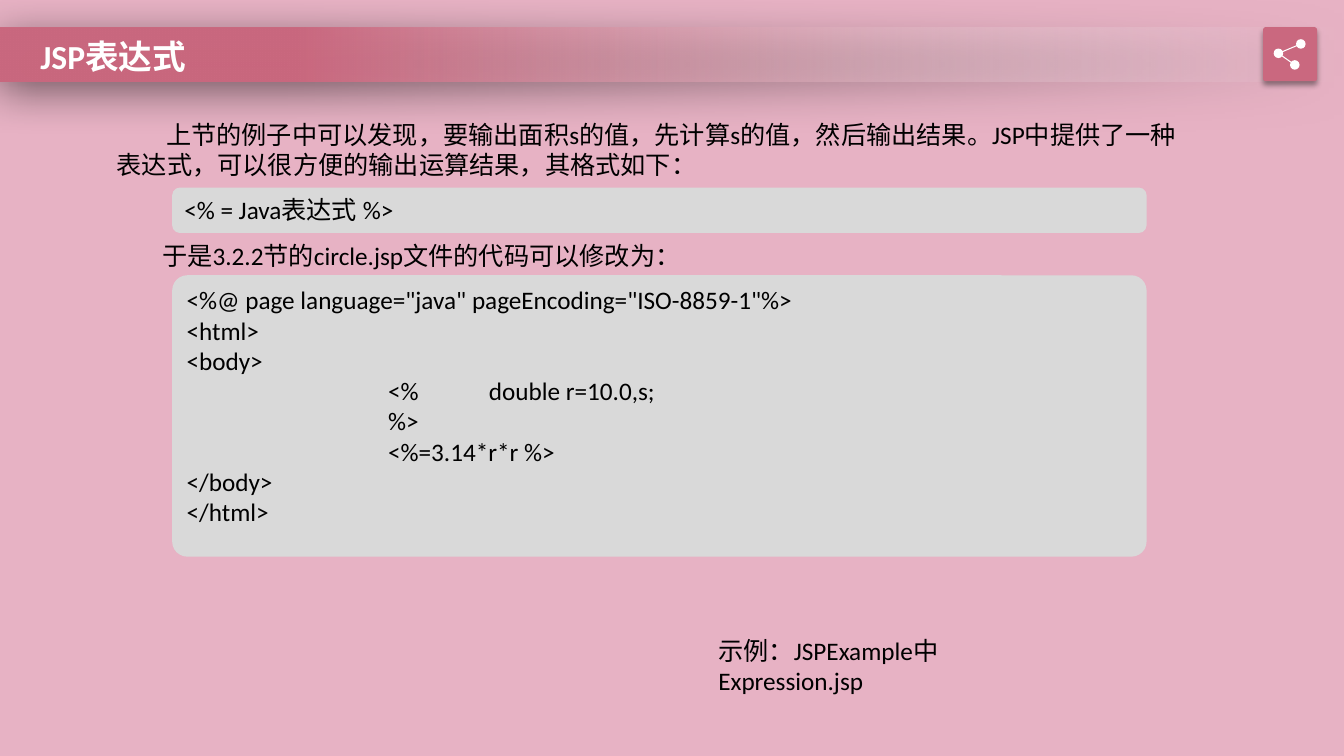
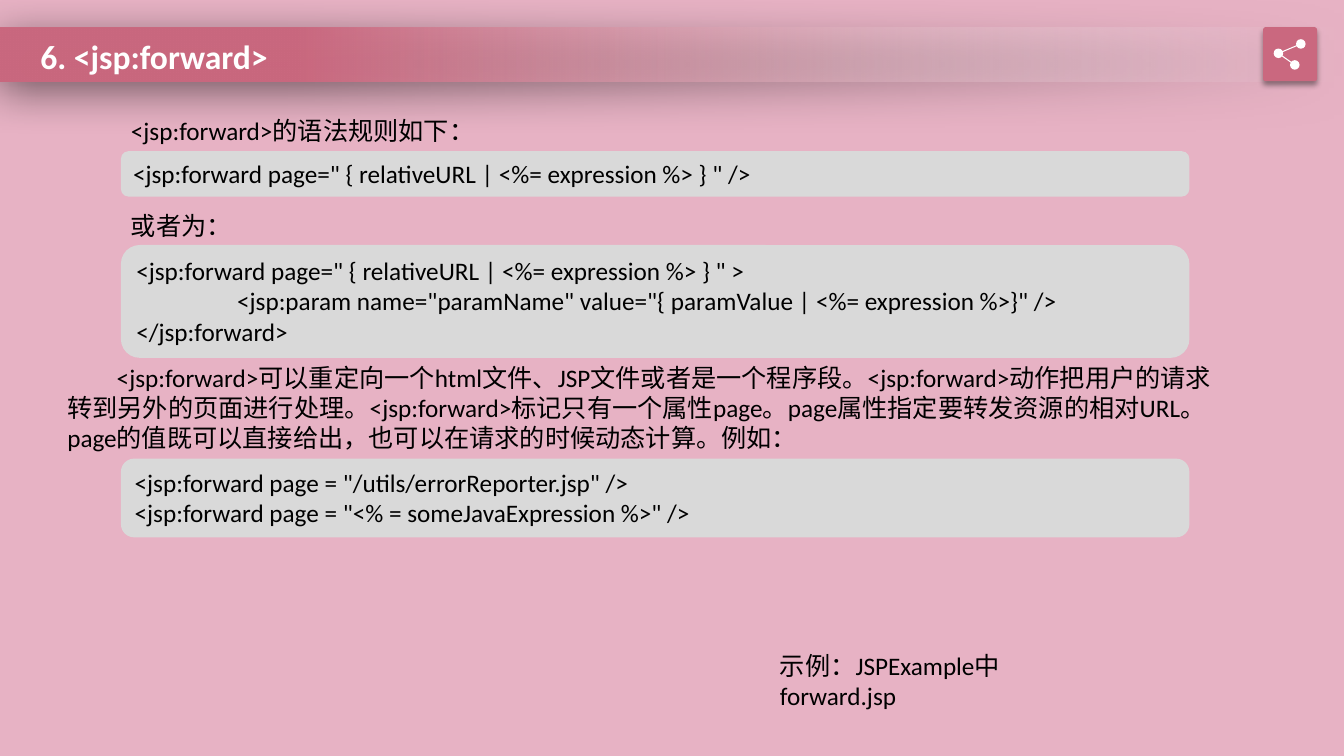
import pptx
import pptx.dml.color
import pptx.enum.shapes
import pptx.enum.text
import pptx.oxml
import pptx.oxml.ns
import pptx.util
from lxml import etree

Pt = pptx.util.Pt
MSO = pptx.enum.shapes.MSO_SHAPE

PINK, ROSE, GREY = "E7B2C4", "CA687F", "D9D9D9"
WHITE, BLACK, PALE = "FFFFFF", "000000", "F7FAFD"
FONT = "Calibri"
SLIDE_W, SLIDE_H = 960, 540
TAB = 72


def rgb(color):
    return pptx.dml.color.RGBColor.from_string(color)


def child(parent, tag, **attrs):
    el = etree.SubElement(parent, pptx.oxml.ns.qn(tag))
    for name, value in attrs.items():
        el.set(name, str(value))
    return el


def add_shape(slide, kind, box, color):
    sp = slide.shapes.add_shape(kind, *map(Pt, box))
    sp.shadow.inherit = False
    sp.line.fill.background()
    sp.fill.solid()
    sp.fill.fore_color.rgb = rgb(color)
    return sp


def add_shadow(sp, alpha, blur, dist, angle):
    effects = sp.element.spPr.find(pptx.oxml.ns.qn("a:effectLst"))
    shadow = child(effects, "a:outerShdw", blurRad=Pt(blur), dist=Pt(dist),
                   dir=angle * 60000, algn="ctr", rotWithShape=0)
    child(child(shadow, "a:srgbClr", val=BLACK), "a:alpha", val=alpha * 1000)


def write(tf, lines, size=18, color=BLACK, bold=False, indent=0):
    """Fill a text frame, one paragraph a line."""
    tf.word_wrap = True
    tf.vertical_anchor = pptx.enum.text.MSO_ANCHOR.TOP
    for i, line in enumerate(lines):
        p = tf.paragraphs[0] if i == 0 else tf.add_paragraph()
        p.alignment = pptx.enum.text.PP_ALIGN.LEFT
        pPr = p._p.get_or_add_pPr()
        if indent:
            pPr.set("marL", "0")
            pPr.set("indent", str(Pt(indent)))
        if "\t" in line:
            tabs = child(pPr, "a:tabLst")
            for n in range(1, line.count("\t") + 1):
                child(tabs, "a:tab", pos=Pt(n * TAB), algn="l")
        p.font.name, p.font.size, p.font.bold = FONT, Pt(size), bold
        p.font.color.rgb = rgb(color)
        # Tabs stay real tab characters inside the run
        p.add_run().text = line


def add_band(slide, box):
    """Title band that fades out to the right."""
    sp = add_shape(slide, MSO.RECTANGLE, box, ROSE)
    sp.fill.gradient()
    sp.fill.gradient_angle = 180
    for stop, color, pos in zip(sp.fill.gradient_stops, (PALE, ROSE), (0, 0.78)):
        stop.color.rgb = rgb(color)
        stop.position = pos
    child(sp.element.spPr.xpath(".//a:srgbClr")[0], "a:alpha", val=0)
    add_shadow(sp, 50, 31, 6, 97)
    return [sp]


def add_share_button(slide, box):
    """Rounded button with three linked dots."""
    x, y = box[:2]
    button = add_shape(slide, MSO.ROUNDED_RECTANGLE, box, ROSE)
    button.adjustments[0] = 0.05
    add_shadow(button, 40, 4, 3, 90)
    parts = [button]
    dots = [(x + 27, y + 12), (x + 11, y + 18.7), (x + 22.7, y + 27)]
    for (x1, y1), (x2, y2) in zip(dots, dots[1:]):
        line = slide.shapes.add_connector(
            pptx.enum.shapes.MSO_CONNECTOR.STRAIGHT, Pt(x1), Pt(y1), Pt(x2), Pt(y2))
        line.line.color.rgb = rgb(WHITE)
        line.line.width = Pt(0.75)
        child(line.element.spPr, "a:effectLst")
        parts.append(line)
    d = 6.8
    for cx, cy in dots:
        parts.append(add_shape(slide, MSO.OVAL, (cx - d / 2, cy - d / 2, d, d), WHITE))
    return parts


def dress_layout(layout, slide):
    """Move the shared header from the slide to its layout."""
    for ph in list(layout.placeholders):
        if ph.placeholder_format.type != pptx.enum.shapes.PP_PLACEHOLDER.TITLE:
            ph.element.getparent().remove(ph.element)
    parts = add_band(slide, (0, 20, SLIDE_W, 38.4))
    parts += add_share_button(slide, (902.2, 19.4, 38.6, 38.6))
    for sp in parts:
        layout.shapes.element.append(sp.element)


def set_title(slide, text):
    sp = slide.shapes.title
    sp.left, sp.top, sp.width, sp.height = map(Pt, (21.6, 22.3, 516, 36))
    write(sp.text_frame, [text], size=24, color=WHITE, bold=True)


def add_text(slide, box, *lines, indent=0):
    sp = slide.shapes.add_textbox(*map(Pt, box))
    write(sp.text_frame, lines, indent=indent)


def add_code(slide, box, *lines, corner=0.1667):
    sp = add_shape(slide, MSO.ROUNDED_RECTANGLE, box, GREY)
    sp.adjustments[0] = corner
    write(sp.text_frame, lines)


def expression_slide(slide):
    left, width = 123, 696
    set_title(slide, "JSP表达式")
    add_text(slide, (76.3, 81.4, 788.4, 51),
             "上节的例子中可以发现，要输出面积s的值，先计算s的值，然后输出结果。"
             "JSP中提供了一种表达式，可以很方便的输出运算结果，其格式如下：", indent=35.3)
    add_code(slide, (left, 134, width, 32.4), "<% = Java表达式 %>")
    add_text(slide, (108.7, 167.8, 430, 28.8),
             "于是3.2.2节的circle.jsp文件的代码可以修改为：")
    add_code(slide, (left, 196.6, width, 201),
             '<%@ page language="java" pageEncoding="ISO-8859-1"%>',
             "<html>",
             "<body>",
             "\t\t<%\tdouble r=10.0,s;",
             "\t\t%>",
             "\t\t<%=3.14*r*r %>",
             "</body>",
             "</html>", corner=0.054)
    add_text(slide, (506, 450, 216, 51), "示例：JSPExample中Expression.jsp")


def forward_slide(slide):
    left, width = 86.4, 763.2
    set_title(slide, "6. <jsp:forward>")
    add_text(slide, (left, 78.5, 300, 28.8), "<jsp:forward>的语法规则如下：")
    add_code(slide, (left, 108, width, 32.4),
             '<jsp:forward page=" { relativeURL | <%= expression %> } " />')
    add_text(slide, (left, 146.9, 120, 28.8), "或者为：")
    add_code(slide, (left, 175, width, 80.6),
             '<jsp:forward page=" { relativeURL | <%= expression %> } " >',
             '\t<jsp:param name="paramName" value="{ paramValue | <%= expression %>}" />',
             "</jsp:forward>")
    add_text(slide, (41, 255, 833.8, 72.7),
             "<jsp:forward>可以重定向一个html文件、JSP文件或者是一个程序段。"
             "<jsp:forward>动作把用户的请求转到另外的页面进行处理。"
             "<jsp:forward>标记只有一个属性page。page属性指定要转发资源的相对URL。"
             "page的值既可以直接给出，也可以在请求的时候动态计算。例如：", indent=35.3)
    add_code(slide, (left, 327.6, width, 56.2),
             '<jsp:forward page = "/utils/errorReporter.jsp" />',
             '<jsp:forward page = "<% = someJavaExpression %>" />')
    add_text(slide, (550, 460.8, 295, 51), "示例：JSPExample中", "forward.jsp")


def main():
    prs = pptx.Presentation()
    prs.slide_width, prs.slide_height = Pt(SLIDE_W), Pt(SLIDE_H)
    fill = prs.slide_master.background.fill
    fill.solid()
    fill.fore_color.rgb = rgb(PINK)
    layout = prs.slide_layouts[5]
    slides = [prs.slides.add_slide(layout) for _ in range(2)]
    dress_layout(layout, slides[0])
    for slide, build in zip(slides, (expression_slide, forward_slide)):
        build(slide)
    prs.save("out.pptx")


if __name__ == "__main__":
    main()
